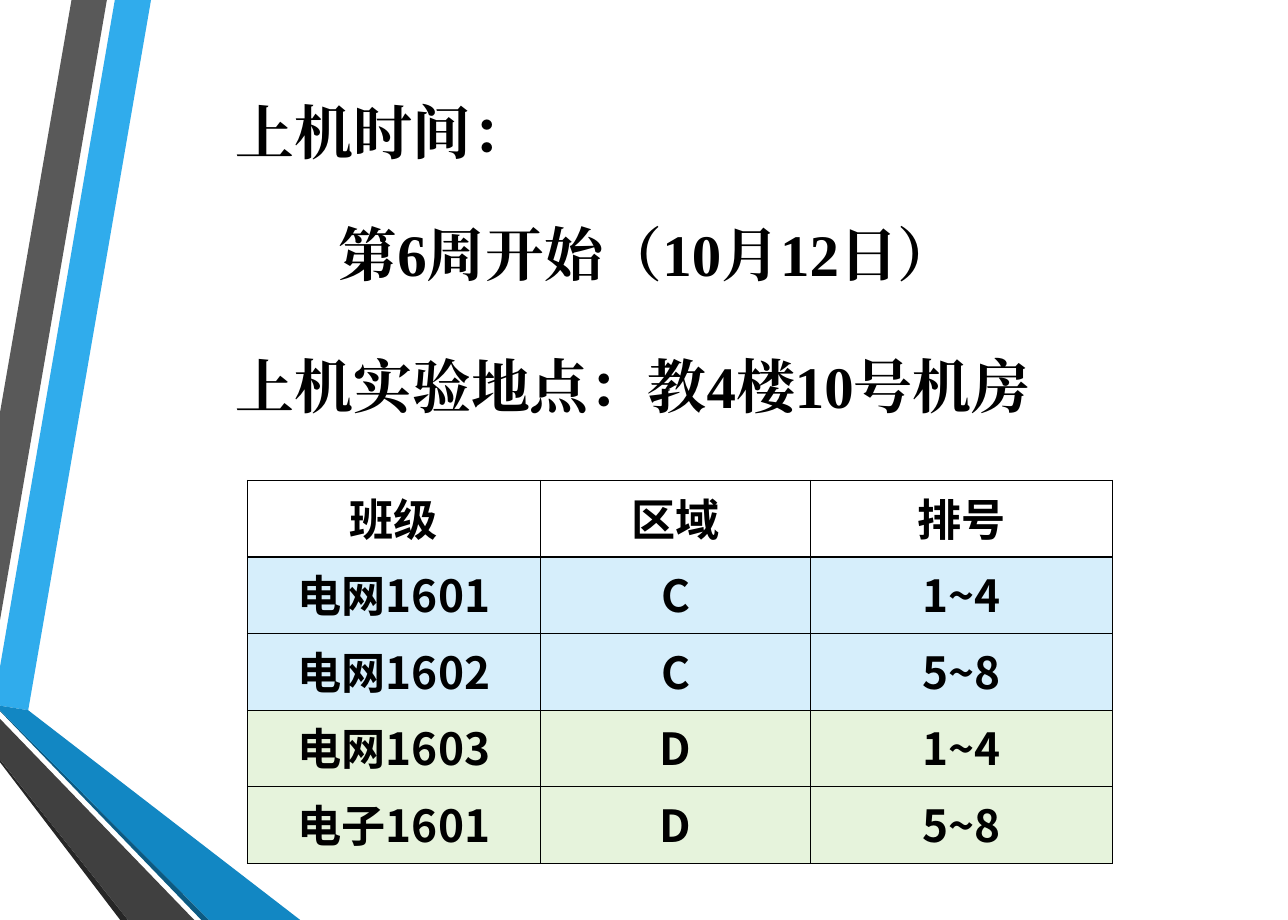
from typing import NamedTuple

from lxml.etree import SubElement
from pptx import Presentation
from pptx.dml.color import RGBColor
from pptx.enum.text import MSO_ANCHOR, PP_ALIGN
from pptx.oxml.ns import qn
from pptx.util import Pt

COLORS = {
    "black": "000000", "sky": "30ACEC", "gray": "595959", "shadow": "262626",
    "navy": "0C5A82", "blue": "1287C3", "dark": "404040",
    "pale_blue": "D6EEFB", "pale_green": "E6F3DC",
}
WIDTH, HEIGHT = 1050, 750


class Band(NamedTuple):
    color: str
    points: list[tuple[float, float]]


class Line(NamedTuple):
    text: str
    indent: float = 0
    before: float = 0
    after: float = 0


class Row(NamedTuple):
    cells: tuple[str, str, str]
    color: str | None = None


BANDS = [
    Band("sky", [(0, 543.6), (0, 575.3), (23, 579), (123.1, 0), (93.6, 0)]),
    Band("gray", [(87.1, 0), (58.3, 0), (0, 336.2), (0, 505.4)]),
    Band("shadow", [(0, 619.2), (0, 621.4), (98, HEIGHT), (104.4, HEIGHT)]),
    Band("navy", [(0, 579), (0, 579.6), (164.2, HEIGHT), (170.6, HEIGHT)]),
    Band("blue", [(0, 579), (170.6, HEIGHT), (244.8, HEIGHT), (23, 579), (0, 575.3)]),
    Band("dark", [(0, 619.2), (104.4, HEIGHT), (158.4, HEIGHT), (0, 586)]),
]
LINES = [
    Line("上机时间："),
    Line("第6周开始（10月12日）", 84, 13, 8.3),
    Line("上机实验地点：教4楼10号机房", 0, 13, 8.3),
]
ROWS = [
    Row(("班级", "区域", "排号")),
    Row(("电网1601", "C", "1~4"), "pale_blue"),
    Row(("电网1602", "C", "5~8"), "pale_blue"),
    Row(("电网1603", "D", "1~4"), "pale_green"),
    Row(("电子1601", "D", "5~8"), "pale_green"),
]
COLUMNS = [239, 220.3, 246.2]
ROW_HEIGHT = 62.4


def rgb(name: str) -> RGBColor:
    return RGBColor.from_string(COLORS[name])


def set_font(p, name: str, size: float) -> None:
    p.font.name = name
    p.font.size = Pt(size)
    p.font.bold = True
    p.font.color.rgb = rgb("black")
    SubElement(p._p.pPr.find(qn("a:defRPr")), qn("a:ea"), typeface=name)


def draw_band(s, band: Band) -> None:
    points = [(Pt(x), Pt(y)) for x, y in band.points]
    builder = s.shapes.build_freeform(*points[0])
    builder.add_line_segments(points[1:], close=True)
    sp = builder.convert_to_shape()
    sp.shadow.inherit = False
    sp.fill.solid()
    sp.fill.fore_color.rgb = rgb(band.color)
    sp.line.fill.background()


def draw_lines(s, lines: list[Line]) -> None:
    tf = s.shapes.add_textbox(Pt(185), 0, Pt(810.7), Pt(391.7)).text_frame
    tf.word_wrap = True
    tf.vertical_anchor = MSO_ANCHOR.MIDDLE
    for i, line in enumerate(lines):
        p = tf.add_paragraph() if i else tf.paragraphs[0]
        p.text = line.text
        p.line_spacing = 1.5
        p.space_before, p.space_after = Pt(line.before), Pt(line.after)
        p._p.get_or_add_pPr().set("indent", str(Pt(line.indent)))
        set_font(p, "Times New Roman", 48)


def add_borders(cell) -> None:
    tcPr = cell._tc.get_or_add_tcPr()
    for i, side in enumerate(("lnL", "lnR", "lnT", "lnB")):
        ln = tcPr.makeelement(qn(f"a:{side}"), {"w": str(Pt(1))})
        fill = SubElement(ln, qn("a:solidFill"))
        SubElement(fill, qn("a:srgbClr"), val=COLORS["black"])
        tcPr.insert(i, ln)


def draw_table(s, rows: list[Row]) -> None:
    table = s.shapes.add_table(
        len(rows), len(COLUMNS), Pt(201.6), Pt(391.7),
        Pt(sum(COLUMNS)), Pt(ROW_HEIGHT * len(rows))).table
    table.first_row = table.horz_banding = False
    for column, width in zip(table.columns, COLUMNS):
        column.width = Pt(width)
    for i, row in enumerate(rows):
        table.rows[i].height = Pt(ROW_HEIGHT)
        for j, text in enumerate(row.cells):
            cell = table.cell(i, j)
            if row.color:
                cell.fill.solid()
                cell.fill.fore_color.rgb = rgb(row.color)
            else:
                cell.fill.background()
            add_borders(cell)
            p = cell.text_frame.paragraphs[0]
            p.text = text
            p.alignment = PP_ALIGN.CENTER
            set_font(p, "Noto Sans CJK SC", 36)


def main() -> None:
    prs = Presentation()
    prs.slide_width, prs.slide_height = Pt(WIDTH), Pt(HEIGHT)
    s = prs.slides.add_slide(prs.slide_layouts[6])
    # Folded ribbons on the left
    for band in BANDS:
        draw_band(s, band)
    # Lab time and place
    draw_lines(s, LINES)
    # Seating by class
    draw_table(s, ROWS)
    prs.save("out.pptx")


if __name__ == "__main__":
    main()
